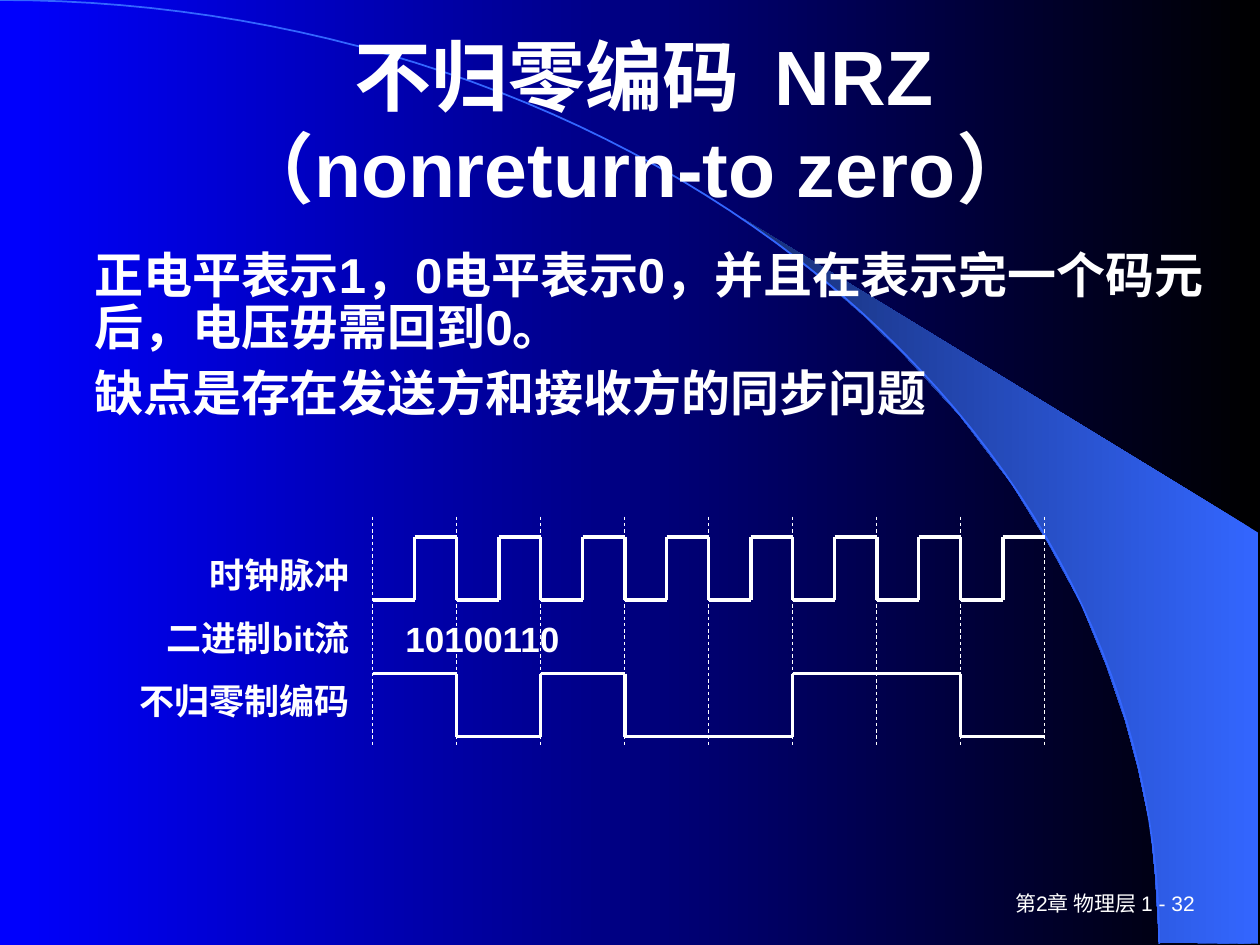
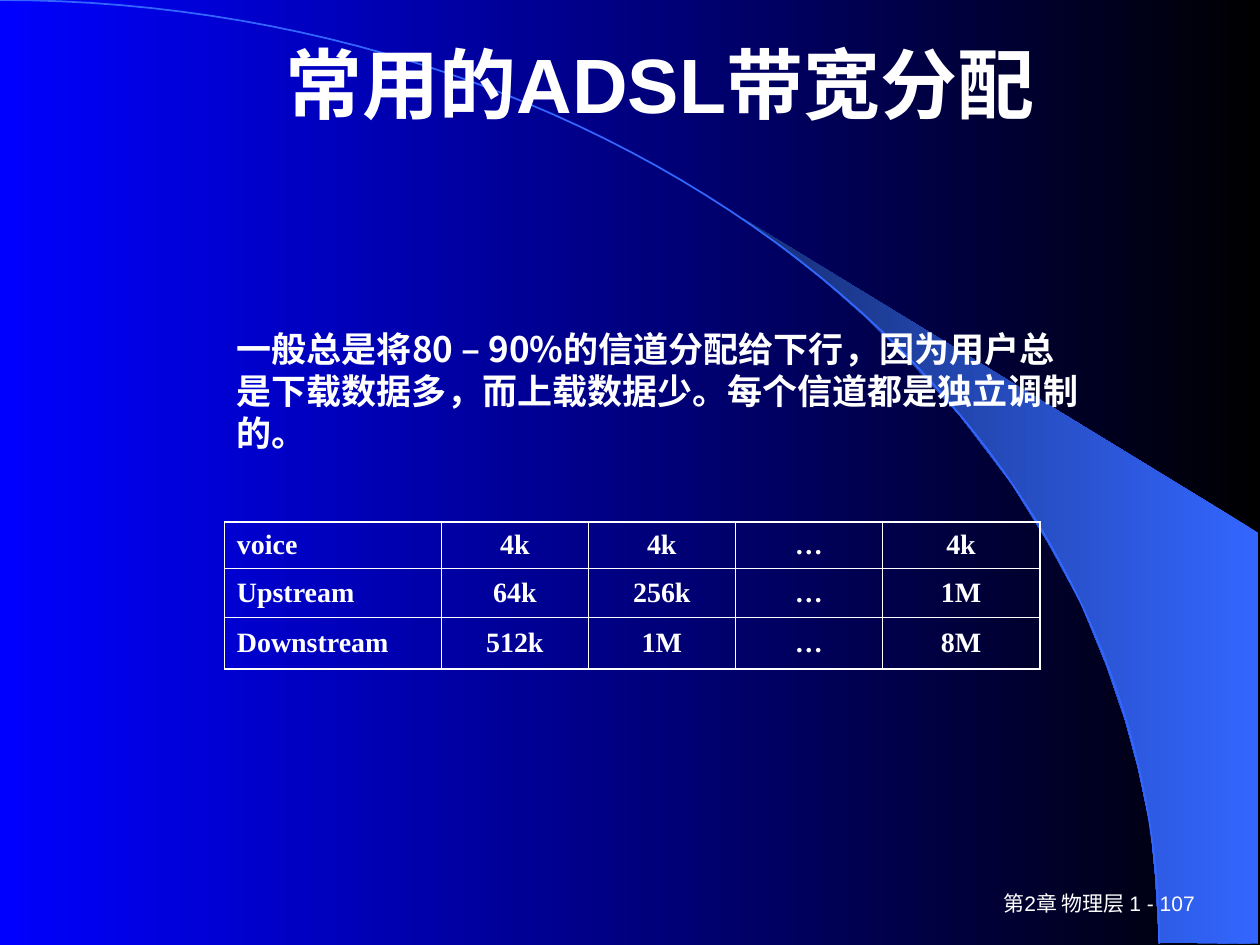
import itertools
import math
from dataclasses import dataclass

import lxml.etree
import pptx
import pptx.dml.color
import pptx.enum.dml
import pptx.enum.shapes
import pptx.enum.text
import pptx.oxml
import pptx.oxml.ns
import pptx.util

Pt = pptx.util.Pt
Align = pptx.enum.text.PP_ALIGN
Anchor = pptx.enum.text.MSO_ANCHOR

COLORS = {
    "text": "FFFFFF",
    "dark": "000000",
    "blue": "0000FF",
    "sweep": "3366FF",
    "sweep_shade": "172F75",
}
LATIN, CHINESE, SERIF = "Arial", "Noto Sans CJK SC", "Times New Roman"

WIDTH, HEIGHT = 720, 540
ARC_WIDTH, ARC_HEIGHT, ARC_STEPS = 662.4, 539.3, 60
WEDGE = [
    (662.4, 538.6), (719.3, 539.3), (719.3, 304.6), (424.1, 124.6), (449.3, 143.3),
    (470.2, 159.8), (493.2, 180), (515.5, 201.6), (548.6, 237.6), (578.2, 276.5),
    (599, 310.3), (617.8, 344.9), (632.2, 380.2), (643, 411.8), (650.2, 438.5),
    (657.4, 472.3), (660.2, 501.1),
]

BITS = "10100110"
BIT_LEFT, BIT_WIDTH = 213, 48
GUIDE_TOP, GUIDE_BOTTOM = 295.2, 427
PULSE_HEIGHT = 36

CHANNELS = [
    ["voice", "4k", "4k", "…", "4k"],
    ["Upstream", "64k", "256k", "…", "1M"],
    ["Downstream", "512k", "1M", "…", "8M"],
]
COLUMN_WIDTHS = [124, 84, 84, 84, 90]
ROW_HEIGHTS = [26.8, 27.7, 29.7]
OUTER_BORDER, INNER_BORDER = 1.08, 0.45


@dataclass(frozen=True)
class Box:
    left: float
    top: float
    width: float
    height: float


@dataclass(frozen=True)
class TextStyle:
    size: float
    bold: bool = True
    font: str = LATIN
    align: Align = Align.LEFT
    anchor: Anchor = Anchor.TOP
    line_spacing: float = 1.0
    gap: float = 0


@dataclass(frozen=True)
class Wave:
    """Levels of equal duration, 1 for high and 0 for low."""
    levels: list[int]
    step: float
    top: float


TITLE = TextStyle(44, align=Align.CENTER, anchor=Anchor.MIDDLE)
FOOTER = TextStyle(12, bold=False, align=Align.RIGHT, anchor=Anchor.MIDDLE)
BODY = TextStyle(28, line_spacing=0.9, gap=7)
NOTE = TextStyle(20, font=CHINESE)
BIT_STREAM = TextStyle(20)
WAVE_LABELS = TextStyle(20, align=Align.RIGHT, line_spacing=1.5)
CELL = TextStyle(16, font=SERIF)
FOOTER_BOX = Box(540, 504, 149.8, 23.8)


def color(name: str) -> pptx.dml.color.RGBColor:
    return pptx.dml.color.RGBColor.from_string(COLORS[name])


def fill_gradient(fill, right: str, left: str) -> None:
    fill.gradient()
    fill.gradient_angle = 180
    for stop, name in zip(fill.gradient_stops, (right, left)):
        stop.color.rgb = color(name)


def add_run(paragraph, text: str, style: TextStyle) -> None:
    run = paragraph.add_run()
    run.text = text
    font = run.font
    font.size, font.bold, font.name = Pt(style.size), style.bold, style.font
    font.color.rgb = color("text")
    properties = run._r.get_or_add_rPr()
    east_asian = lxml.etree.SubElement(properties, pptx.oxml.ns.qn("a:ea"))
    east_asian.set("typeface", CHINESE)


def add_text(slide, box: Box, paragraphs: list[str], style: TextStyle) -> None:
    """Draw one text box; a newline in a paragraph becomes a line break."""
    shape = slide.shapes.add_textbox(
        Pt(box.left), Pt(box.top), Pt(box.width), Pt(box.height))
    frame = shape.text_frame
    frame.word_wrap = True
    frame.vertical_anchor = style.anchor
    for index, text in enumerate(paragraphs):
        paragraph = frame.add_paragraph() if index else frame.paragraphs[0]
        paragraph.alignment = style.align
        paragraph.line_spacing = style.line_spacing
        paragraph.space_before = Pt(style.gap if index else 0)
        for line_number, line in enumerate(text.split("\n")):
            if line_number:
                paragraph.add_line_break()
            add_run(paragraph, line, style)


def add_freeform(slide, points: list[tuple[float, float]], close: bool):
    corners = [(Pt(x), Pt(y)) for x, y in points]
    builder = slide.shapes.build_freeform(*corners[0], scale=1.0)
    builder.add_line_segments(corners[1:], close=close)
    shape = builder.convert_to_shape()
    shape.shadow.inherit = False
    return shape


def add_line(slide, start: tuple[float, float], end: tuple[float, float],
             weight: float, dashed: bool = False) -> None:
    connector = slide.shapes.add_connector(
        pptx.enum.shapes.MSO_CONNECTOR.STRAIGHT,
        Pt(start[0]), Pt(start[1]), Pt(end[0]), Pt(end[1]))
    connector.line.color.rgb = color("text")
    connector.line.width = Pt(weight)
    if dashed:
        connector.line.dash_style = pptx.enum.dml.MSO_LINE.DASH
    lxml.etree.SubElement(connector._element.spPr, pptx.oxml.ns.qn("a:effectLst"))


def add_themed_slide(presentation, title: str, title_box: Box, page: int):
    slide = presentation.slides.add_slide(presentation.slide_layouts[6])
    fill_gradient(slide.background.fill, "dark", "blue")

    wedge = add_freeform(slide, WEDGE, close=True)
    fill_gradient(wedge.fill, "sweep", "sweep_shade")
    wedge.line.fill.background()

    angles = [math.pi / 2 * step / ARC_STEPS for step in range(ARC_STEPS + 1)]
    arc = add_freeform(
        slide,
        [(ARC_WIDTH * math.sin(a), ARC_HEIGHT * (1 - math.cos(a))) for a in angles],
        close=False)
    arc.fill.background()
    arc.line.color.rgb = color("sweep")
    arc.line.width = Pt(1)

    add_text(slide, FOOTER_BOX, [f"第2章 物理层 1 - {page}"], FOOTER)
    add_text(slide, title_box, [title], TITLE)
    return slide


def draw_wave(slide, wave: Wave) -> None:
    """Draw a flat line per run of equal levels and an edge between runs."""
    x = BIT_LEFT
    for level, run in itertools.groupby(wave.levels):
        if x > BIT_LEFT:
            add_line(slide, (x, wave.top), (x, wave.top + PULSE_HEIGHT), 2)
        y = wave.top if level else wave.top + PULSE_HEIGHT
        end = x + wave.step * len(list(run))
        add_line(slide, (x, y), (end, y), 2)
        x = end


def set_borders(cell, weights: dict[str, float]) -> None:
    properties = cell._tc.get_or_add_tcPr()
    for side, weight in weights.items():
        properties.append(pptx.oxml.parse_xml(
            f'<a:ln{side} {pptx.oxml.ns.nsdecls("a")} w="{Pt(weight)}">'
            f'<a:solidFill><a:srgbClr val="{COLORS["text"]}"/></a:solidFill>'
            f'</a:ln{side}>'))


def add_channel_table(slide, left: float, top: float) -> None:
    last_row, last_column = len(ROW_HEIGHTS) - 1, len(COLUMN_WIDTHS) - 1
    table = slide.shapes.add_table(
        len(ROW_HEIGHTS), len(COLUMN_WIDTHS), Pt(left), Pt(top),
        Pt(sum(COLUMN_WIDTHS)), Pt(sum(ROW_HEIGHTS))).table
    table.first_row = table.horz_banding = False
    for column, width in zip(table.columns, COLUMN_WIDTHS):
        column.width = Pt(width)
    for row, height in zip(table.rows, ROW_HEIGHTS):
        row.height = Pt(height)
    for i, j in itertools.product(range(last_row + 1), range(last_column + 1)):
        cell = table.cell(i, j)
        on_edge = {"L": j == 0, "R": j == last_column, "T": i == 0, "B": i == last_row}
        set_borders(cell, {side: OUTER_BORDER if edge else INNER_BORDER
                           for side, edge in on_edge.items()})
        cell.fill.background()
        cell.vertical_anchor = Anchor.MIDDLE
        cell.margin_left = cell.margin_right = Pt(7.2)
        cell.margin_top = cell.margin_bottom = Pt(3.6)
        paragraph = cell.text_frame.paragraphs[0]
        paragraph.alignment = Align.CENTER if j else Align.LEFT
        add_run(paragraph, CHANNELS[i][j], CELL)


def build_nrz_slide(presentation) -> None:
    slide = add_themed_slide(
        presentation, "不归零编码  NRZ\n（nonreturn-to zero） ",
        Box(62, 15, 612, 108), 32)
    add_text(slide, Box(46.8, 139.7, 650.2, 114.5), [
        "正电平表示1，0电平表示0，并且在表示完一个码元后，电压毋需回到0。",
        "缺点是存在发送方和接收方的同步问题",
    ], BODY)
    draw_wave(slide, Wave([0, 1] * len(BITS), BIT_WIDTH / 2, 306.8))
    add_text(slide, Box(224.6, 349.2, 360, 31.7), [BITS], BIT_STREAM)
    draw_wave(slide, Wave([int(bit) for bit in BITS], BIT_WIDTH, 385))
    for index in range(len(BITS) + 1):
        x = BIT_LEFT + index * BIT_WIDTH
        add_line(slide, (x, GUIDE_TOP), (x, GUIDE_BOTTOM), 0.5, dashed=True)
    add_text(slide, Box(69, 301, 138, 131.8),
             ["时钟脉冲", "二进制bit流", "不归零制编码"], WAVE_LABELS)


def build_adsl_slide(presentation) -> None:
    slide = add_themed_slide(
        presentation, "常用的ADSL带宽分配", Box(71.3, 15, 612, 65), 107)
    add_channel_table(slide, 128.2, 298.2)
    add_text(slide, Box(128.2, 183.6, 496.8, 79.2), [
        "一般总是将80 – 90%的信道分配给下行，因为用户总是下载数据多，"
        "而上载数据少。每个信道都是独立调制的。",
    ], NOTE)


def main() -> None:
    presentation = pptx.Presentation()
    presentation.slide_width, presentation.slide_height = Pt(WIDTH), Pt(HEIGHT)
    build_nrz_slide(presentation)
    build_adsl_slide(presentation)
    presentation.save("out.pptx")


if __name__ == "__main__":
    main()
